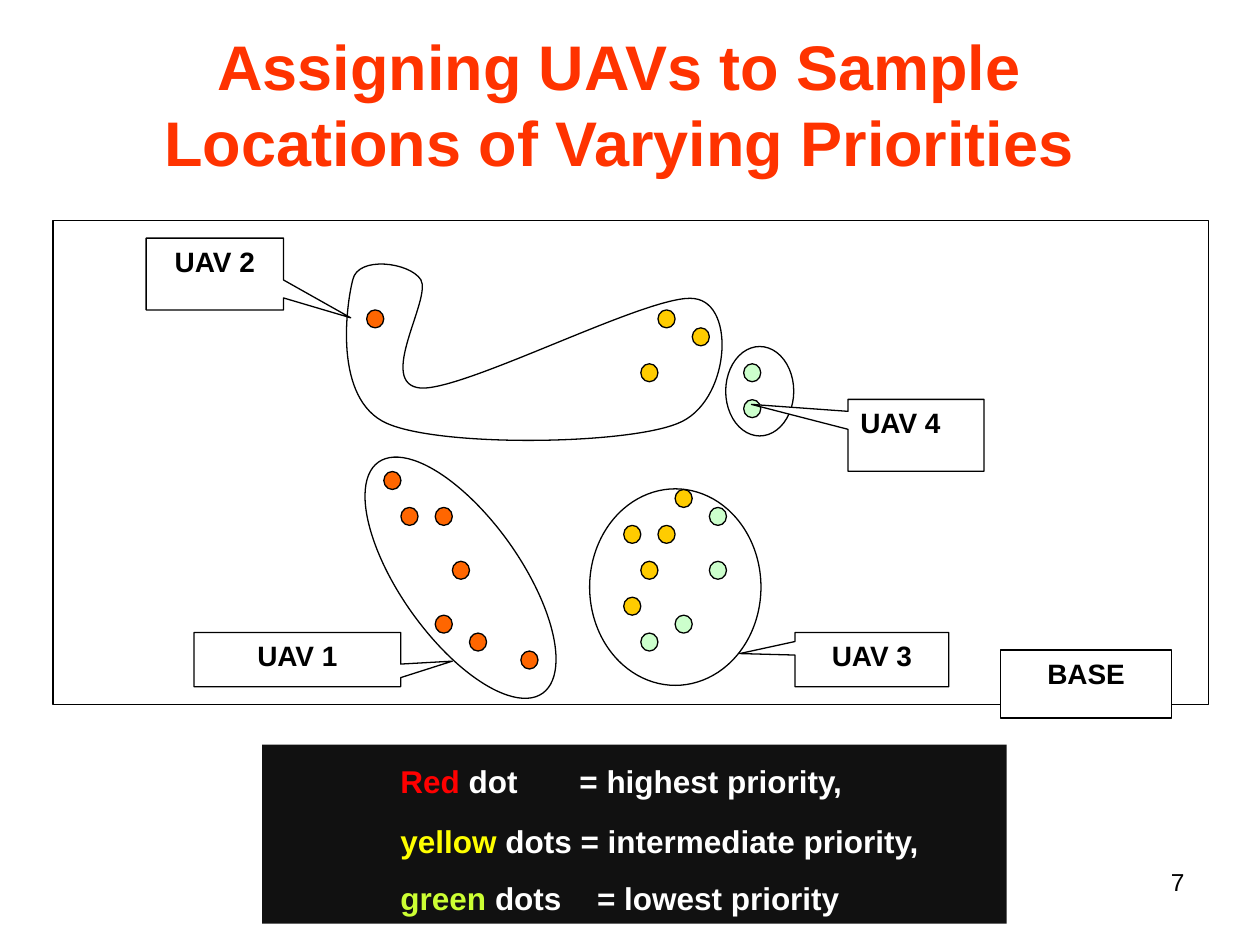
from pptx import Presentation
from pptx.dml.color import RGBColor
from pptx.enum.shapes import MSO_CONNECTOR as Link, MSO_SHAPE as Kind
from pptx.enum.text import MSO_ANCHOR as Anchor, PP_ALIGN as Align
from pptx.oxml.ns import qn
from pptx.oxml.xmlchemy import OxmlElement as Node
from pptx.util import Inches, Pt

INK = {
    "black": "000000", "white": "FFFFFF", "panel": "111111",
    "title": "FF3300", "high": "FF6600", "mid": "FFCC00", "low": "CCFFCC",
    "red": "FF0000", "yellow": "FFFF00", "green": "CCFF33",
}


def paint(shape, fill, line="black"):
    shape.shadow.inherit = False
    shape.fill.solid()
    shape.fill.fore_color.rgb = RGBColor.from_string(INK[fill])
    if line:
        shape.line.color.rgb = RGBColor.from_string(INK[line])
        shape.line.width = Pt(0.75)
    else:
        shape.line.fill.background()


def write(para, text, size, ink, bold=True):
    run = para.add_run()
    run.text = text
    run.font.name = "Arial"
    run.font.size = Pt(size)
    run.font.bold = bold
    run.font.color.rgb = RGBColor.from_string(INK[ink])


deck = Presentation()
deck.slide_width, deck.slide_height = Inches(10), Inches(7.5)
slide = deck.slides.add_slide(deck.slide_layouts[5])
shapes = slide.shapes

# Title
title = shapes.title
title.left, title.top = Inches(0.58), Inches(0.17)
title.width, title.height = Inches(8.67), Inches(1.3)
title.text_frame.word_wrap = True
title.text_frame.vertical_anchor = Anchor.MIDDLE
head = title.text_frame.paragraphs[0]
head.alignment = Align.CENTER
write(head, "Assigning UAVs to Sample Locations of Varying Priorities", 36, "title")

# Map area and the zone of each UAV
for kind, box, turn in [
    (Kind.RECTANGLE, (0.42, 1.75, 9.17, 3.84), 0),
    (Kind.OVAL, (3.18, 3.46, 0.95, 2.25), 324.6),
    (Kind.OVAL, (4.68, 3.88, 1.36, 1.56), 0),
    (Kind.OVAL, (5.76, 2.75, 0.54, 0.71), 0),
]:
    zone = shapes.add_shape(kind, *map(Inches, box))
    zone.rotation = turn
    paint(zone, "white")

# Speck on the map
spot = map(Inches, (2.78, 3.31, 2.78, 3.31))
speck = shapes.add_connector(Link.STRAIGHT, *spot)
speck.line.color.rgb = RGBColor.from_string(INK["black"])
speck.line.width = Pt(0.75)
speck._element.spPr.append(Node("a:effectLst"))

# Curved zone of UAV 2: every three points make one Bezier curve
start = (3.07, 3.36)
points = [
    (2.64, 3.17), (2.75, 2.41), (2.8, 2.22),
    (2.84, 2.03), (3.25, 2.08), (3.34, 2.22),
    (3.43, 2.37), (2.98, 3.05), (3.34, 3.08),
    (3.7, 3.1), (5.18, 2.32), (5.51, 2.37),
    (5.85, 2.41), (5.79, 3.2), (5.38, 3.36),
    (4.97, 3.53), (3.5, 3.55), start,
]
pen = shapes.build_freeform(*map(Inches, start))
pen.add_line_segments([(Inches(x), Inches(y)) for x, y in points])
bend = pen.convert_to_shape()
paint(bend, "white")
lines = list(bend._element.iter(qn("a:lnTo")))
trail = lines[0].getparent()
for i in range(0, len(lines), 3):
    curve = Node("a:cubicBezTo")
    for line in lines[i:i + 3]:
        curve.append(line[0])
        trail.remove(line)
    trail.append(curve)
trail.append(Node("a:close"))

# Sample locations as (column, row) of a fine grid
dots = {
    "high": [(0, 0), (1, 9), (2, 11), (4, 11), (5, 14), (4, 17), (6, 18), (9, 19)],
    "mid": [(17, 0), (19, 1), (16, 3), (18, 10), (15, 12), (17, 12), (16, 14),
            (15, 16)],
    "low": [(22, 3), (22, 5), (20, 11), (20, 14), (18, 17), (16, 18)],
}
wide, high = Inches(1.36 / 10), Inches(0.57 / 4)
for rank, cells in dots.items():
    for col, row in cells:
        left = Inches(2.91) + col * wide
        top = Inches(2.46) + row * high
        paint(shapes.add_shape(Kind.OVAL, left, top, wide, high), rank)

# Labels; callouts also give where their tip points
call = Kind.RECTANGULAR_CALLOUT
for text, kind, box, tip, align in [
    ("UAV 1", call, (1.54, 5.02, 1.64, 0.43), (0.75, 0.03), Align.CENTER),
    ("UAV 2", call, (1.16, 1.89, 1.09, 0.57), (0.99, 0.61), Align.CENTER),
    ("UAV 3", call, (6.31, 5.02, 1.22, 0.43), (-0.86, -0.11), Align.CENTER),
    ("UAV 4", call, (6.73, 3.17, 1.08, 0.57), (-1.21, -0.43), Align.LEFT),
    ("BASE", Kind.RECTANGLE, (7.94, 5.16, 1.36, 0.54), (), Align.CENTER),
]:
    label = shapes.add_shape(kind, *map(Inches, box))
    for i, value in enumerate(tip):
        label.adjustments[i] = value
    paint(label, "white")
    label.text_frame.vertical_anchor = Anchor.TOP
    para = label.text_frame.paragraphs[0]
    para.alignment = align
    write(para, text, 16, "black")

# Legend, aligned with tab stops
legend = shapes.add_shape(Kind.RECTANGLE, *map(Inches, (2.08, 5.91, 5.91, 1.42)))
paint(legend, "panel", None)
frame = legend.text_frame
frame.vertical_anchor = Anchor.MIDDLE
for i, (size, name, ink, rest, stops) in enumerate([
    (24, "Red ", "red", "dot\t= highest priority,", (1, 2.42)),
    (18, "yellow ", "yellow", "dots = intermediate priority,", (1,)),
    (18, "green ", "green", "dots\t= lowest priority", (1, 2.56)),
]):
    para = frame.add_paragraph() if i else frame.paragraphs[0]
    para.alignment = Align.LEFT
    if i:
        para.space_before = Pt(11.2)
    tabs = Node("a:tabLst")
    for stop in stops:
        tab = Node("a:tab")
        tab.set("pos", str(Inches(stop)))
        tab.set("algn", "l")
        tabs.append(tab)
    para._p.get_or_add_pPr().append(tabs)
    write(para, "\t", size, "black")
    write(para, name, 18, ink)
    write(para, rest, 18, "white")

# Page number
page = shapes.add_textbox(*map(Inches, (7.17, 6.83, 2.33, 0.52)))
page.text_frame.word_wrap = True
para = page.text_frame.paragraphs[0]
para.alignment = Align.RIGHT
write(para, "7", 14, "black", False)

deck.save("out.pptx")
